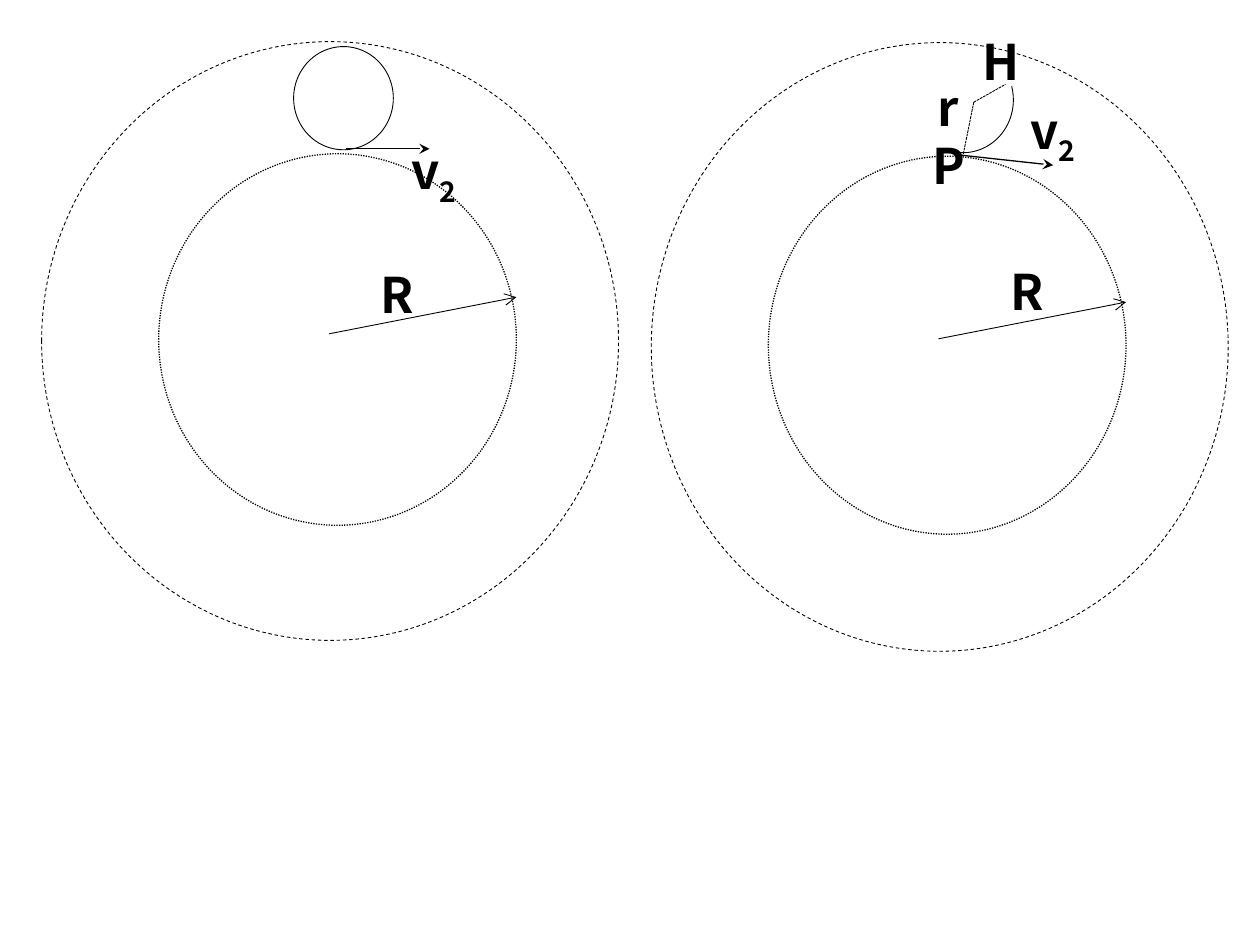
from lxml.etree import SubElement
from pptx import Presentation
from pptx.dml.color import RGBColor
from pptx.enum.dml import MSO_LINE as Dash
from pptx.enum.shapes import MSO_CONNECTOR as Link, MSO_SHAPE as Kind
from pptx.oxml.ns import qn
from pptx.util import Cm, Pt

INK = "000000"
FONT = {"name": "Noto Sans CJK JP", "size": Pt(28), "bold": True}
STEP = 12.29  # from the left diagram to the right one


def color(code):
    return RGBColor.from_string(code)


class Sketch:
    """Draws black outlines and labels, in cm, into the current group."""

    def __init__(self, slide):
        self.slide = slide
        self.group = None

    def start(self):
        self.group = self.slide.shapes.add_group_shape().shapes

    def pen(self, line, width, dash):
        line.color.rgb = color(INK)
        line.width = Pt(width)
        if dash:
            line.dash_style = dash

    def outline(self, box, width=0.5, dash=None, kind=Kind.OVAL):
        shape = self.group.add_shape(kind, *map(Cm, box))
        shape.shadow.inherit = False
        shape.fill.background()
        self.pen(shape.line, width, dash)
        return shape

    def arc(self, box, first, last, turn):
        """Draw an arc between two angles in degrees, then rotate it."""
        shape = self.outline(box, kind=Kind.ARC)
        for i, angle in enumerate((first, last)):
            shape.adjustments[i] = angle * 0.6  # 60000 units a degree, scaled by 100000
        shape.rotation = turn

    def line(self, ends, width=0.5, dash=None, tip=None):
        link = self.group.add_connector(Link.STRAIGHT, *map(Cm, ends))
        self.pen(link.line, width, dash)
        if tip:
            SubElement(link.line._get_or_add_ln(), qn("a:tailEnd"), type=tip)
        SubElement(link._element.spPr, qn("a:effectLst"))

    def label(self, box, text, sub=""):
        frame = self.group.add_textbox(*map(Cm, box)).text_frame
        frame.word_wrap = True
        frame.margin_top = 0
        para = frame.paragraphs[0]
        for part in filter(None, (text, sub)):
            run = para.add_run()
            run.text = part
            for key, value in FONT.items():
                setattr(run.font, key, value)
            run.font.color.rgb = color(INK)
            if part == sub:
                run._r.get_or_add_rPr().set("baseline", "-25000")

    def orbit(self, left, inner, outer, spoke):
        """Draw two rings, each given by top and height, and the radius arrow."""
        self.outline((3.2 + left, inner[0], 7.21, inner[1]), 0.75, Dash.ROUND_DOT)
        self.outline((0.84 + left, outer[0], 11.63, outer[1]), dash=Dash.DASH)
        self.line((6.63 + left, spoke, 10.41 + left, spoke - 0.74), tip="arrow")


def main():
    deck = Presentation()
    deck.slide_width, deck.slide_height = Cm(25.4), Cm(19.05)
    art = Sketch(deck.slides.add_slide(deck.slide_layouts[6]))

    # Whole small circle between the rings
    art.start()
    art.orbit(0, (3.1, 7.49), (0.84, 12.07), 6.73)
    art.outline((5.92, 0.94, 2.01, 2.08))
    art.label((7.42, 5.33, 2.72, 3.05), "R")
    art.line((6.98, 3, 8.66, 3), 0.75, tip="stealth")
    art.label((8.05, 2.84, 1.85, 2.64), "v", "2")

    # Sector of the small circle, from P to H
    art.start()
    art.orbit(STEP, (3.15, 7.62), (0.86, 12.27), 6.83)
    art.label((20.12, 5.28, 2.72, 3.1), "R")
    art.line((19.3, 3.12, 21.23, 3.33), 0.75, tip="stealth")
    art.label((20.52, 2.03, 3.91, 4.17), "v", "2")
    art.arc((18.42, 0.97, 2.01, 2.11), 338, 95, 5.6)
    hub = (19.63, 2.06)
    for end in ((19.41, 3.15), (20.27, 1.7)):
        art.line(hub + end, dash=Dash.SQUARE_DOT)
    art.label((18.64, 1.57, 2.72, 3.1), "r")
    for text, left, top in (("P", 18.54, 2.74), ("H", 19.56, 0.64)):
        art.label((left, top, 1.3, 1.65), text)

    deck.save("out.pptx")


if __name__ == "__main__":
    main()
